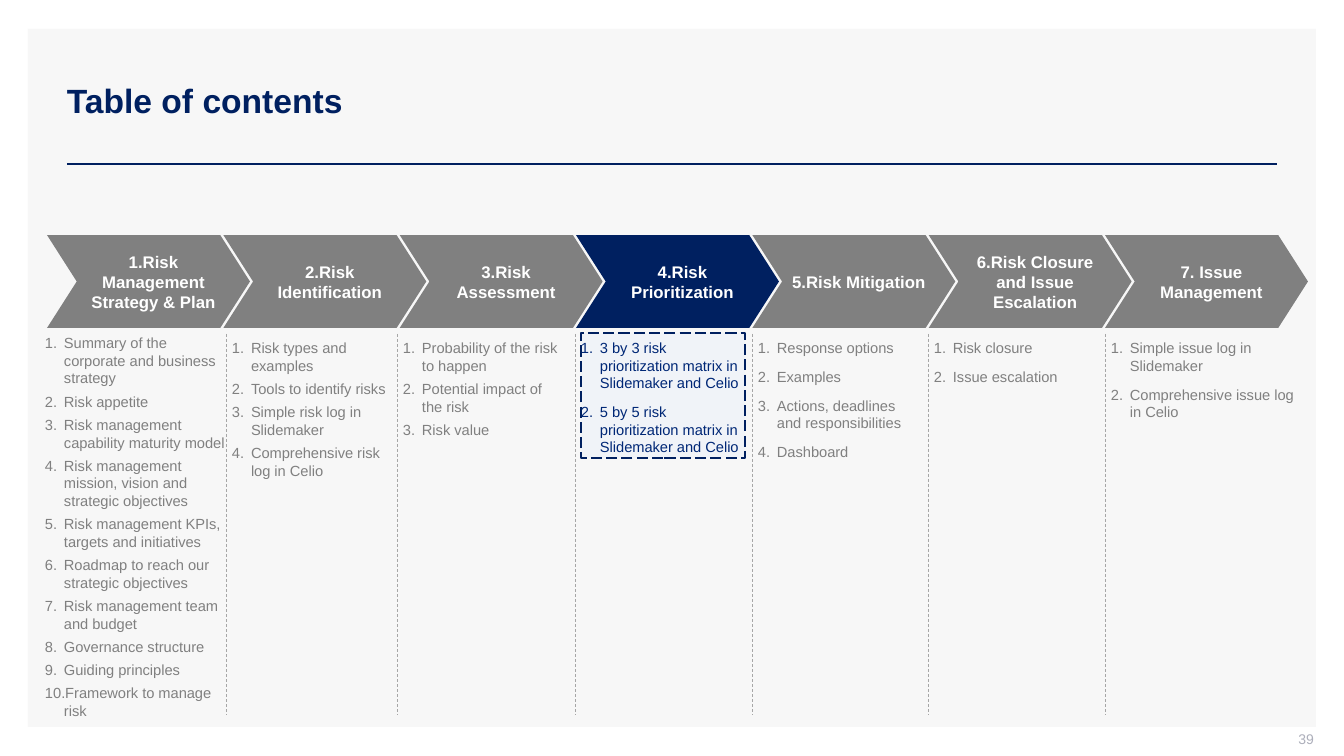
import pptx
import pptx.util
import pptx.dml.color
import pptx.enum.dml
import pptx.enum.shapes
import pptx.enum.text
import pptx.oxml.ns
from dataclasses import dataclass
from lxml import etree

TITLE = "Table of contents"
PAGE_NUMBER = "39"
ACTIVE_STAGE = 3
# heading, left edge of the list, list width, space around items (pt), items
STAGES = [
    ("1.Risk Management Strategy & Plan", 45, 192, 2, [
        "Summary of the corporate and business strategy",
        "Risk appetite",
        "Risk management capability maturity model",
        "Risk management mission, vision and strategic objectives",
        "Risk management KPIs, targets and initiatives",
        "Roadmap to reach our strategic objectives",
        "Risk management team and budget",
        "Governance structure",
        "Guiding principles",
        "Framework to manage risk"]),
    ("2.Risk Identification", 232, 171, 2, [
        "Risk types and examples",
        "Tools to identify risks",
        "Simple risk log in Slidemaker",
        "Comprehensive risk log in Celio"]),
    ("3.Risk Assessment", 403, 172, 2, [
        "Probability of the risk to happen",
        "Potential impact of the risk",
        "Risk value"]),
    ("4.Risk Prioritization", 581, 177, 4, [
        "3 by 3 risk prioritization matrix in Slidemaker and Celio",
        "5 by 5 risk prioritization matrix in Slidemaker and Celio"]),
    ("5.Risk Mitigation", 758, 169, 4, [
        "Response options",
        "Examples",
        "Actions, deadlines and responsibilities",
        "Dashboard"]),
    ("6.Risk Closure and Issue Escalation", 934, 194, 4, [
        "Risk closure",
        "Issue escalation"]),
    ("7. Issue Management", 1111, 194, 4, [
        "Simple issue log in Slidemaker",
        "Comprehensive issue log in Celio"]),
]


@dataclass(frozen=True)
class Theme:
    font: str = "Arial"
    navy: str = "002060"
    active_text: str = "002776"
    grey: str = "808080"
    divider: str = "A6A6A6"
    panel: str = "F7F7F7"
    highlight: str = "D6E3FF"
    number: str = "ADAFBB"
    white: str = "FFFFFF"
    title_size: float = 24
    heading_size: float = 12
    item_size: float = 10.5
    number_size: float = 10


THEME = Theme()
PX_PER_INCH = 100.8
CHEVRON_LEFT, CHEVRON_TOP, CHEVRON_WIDTH, CHEVRON_HEIGHT = 47, 235, 203, 93
LAST_CHEVRON_LEFT = 1105
CHEVRON_PITCH = (LAST_CHEVRON_LEFT - CHEVRON_LEFT) / (len(STAGES) - 1)
LIST_TOP, FIRST_LIST_TOP, LIST_BOTTOM = 334, 329, 715
DIVIDER_GAP = 6
ITEM_INDENT = 19
ALIGN = pptx.enum.text.PP_ALIGN
ANCHOR = pptx.enum.text.MSO_ANCHOR
SHAPE = pptx.enum.shapes.MSO_SHAPE
DASH = pptx.enum.dml.MSO_LINE


def px(length):
    return pptx.util.Emu(round(length * 914400 / PX_PER_INCH))


def rgb(value):
    return pptx.dml.color.RGBColor.from_string(value)


def add_element(parent, tag, **attributes):
    return etree.SubElement(parent, pptx.oxml.ns.qn(tag), **attributes)


def style_line(line, color, width, dash=None):
    line.color.rgb = rgb(color)
    line.width = pptx.util.Pt(width)
    if dash is not None:
        line.dash_style = dash


def add_filled(page, kind, left, top, width, height, color):
    shape = page.shapes.add_shape(kind, px(left), px(top), px(width), px(height))
    shape.shadow.inherit = False
    shape.fill.solid()
    shape.fill.fore_color.rgb = rgb(color)
    shape.line.fill.background()
    return shape


def add_rule(page, x1, y1, x2, y2, color, width, dash=None):
    rule = page.shapes.add_connector(
        pptx.enum.shapes.MSO_CONNECTOR.STRAIGHT, px(x1), px(y1), px(x2), px(y2))
    style_line(rule.line, color, width, dash)
    add_element(rule._element.spPr, "a:effectLst")


def set_frame(shape, margins, anchor):
    """Apply left, top, right and bottom margins, wrapping and anchor."""
    frame = shape.text_frame
    frame.word_wrap = True
    frame.vertical_anchor = anchor
    frame.margin_left, frame.margin_top, frame.margin_right, frame.margin_bottom = map(px, margins)
    return frame


def style_text(para, size, color, bold=False, align=ALIGN.LEFT):
    para.alignment = align
    for span in para.runs:
        span.font.name = THEME.font
        span.font.size = pptx.util.Pt(size)
        span.font.bold = bold
        span.font.color.rgb = rgb(color)


def add_label(page, text, left, top, width, height, margins, **style):
    box = page.shapes.add_textbox(px(left), px(top), px(width), px(height))
    frame = set_frame(box, margins, ANCHOR.MIDDLE)
    frame.text = text
    style_text(frame.paragraphs[0], **style)


def add_chevron(page, index, heading):
    color = THEME.navy if index == ACTIVE_STAGE else THEME.grey
    chevron = add_filled(page, SHAPE.CHEVRON, CHEVRON_LEFT + index * CHEVRON_PITCH,
                         CHEVRON_TOP, CHEVRON_WIDTH, CHEVRON_HEIGHT, color)
    chevron.adjustments[0] = 0.32
    frame = set_frame(chevron, (10, 5, 0, 5), ANCHOR.MIDDLE)
    frame.text = heading
    style_text(frame.paragraphs[0], THEME.heading_size, THEME.white, True, ALIGN.CENTER)


def add_numbered_list(page, index, left, width, gap, items):
    top = LIST_TOP if index else FIRST_LIST_TOP
    color = THEME.active_text if index == ACTIVE_STAGE else THEME.grey
    box = page.shapes.add_textbox(px(left), px(top), px(width), px(LIST_BOTTOM - top))
    frame = set_frame(box, (0, 5, 10, 5), ANCHOR.TOP)
    frame.text = "\n".join(items)
    for position, para in enumerate(frame.paragraphs):
        properties = para._p.get_or_add_pPr()
        properties.set("marL", str(px(ITEM_INDENT)))
        properties.set("indent", str(-px(ITEM_INDENT)))
        add_element(properties, "a:buFont", typeface=THEME.font)
        add_element(properties, "a:buAutoNum", type="arabicPeriod")
        para.space_before = pptx.util.Pt(gap if position else 0)
        para.space_after = pptx.util.Pt(gap)
        style_text(para, THEME.item_size, color)


def main():
    deck = pptx.Presentation()
    deck.slide_width, deck.slide_height = px(1344), px(756)
    page = deck.slides.add_slide(deck.slide_layouts[6])

    add_filled(page, SHAPE.RECTANGLE, 28, 29, 1288, 698, THEME.panel)
    add_rule(page, 67, 164, 1277, 164, THEME.navy, 2)
    add_label(page, TITLE, 57, 40, 1220, 121, (10, 5, 10, 5),
              size=THEME.title_size, color=THEME.navy, bold=True)
    add_label(page, PAGE_NUMBER, 1012, 731, 302, 21, (10, 0, 0, 5),
              size=THEME.number_size, color=THEME.number, align=ALIGN.RIGHT)

    highlight = add_filled(page, SHAPE.RECTANGLE, STAGES[ACTIVE_STAGE][1], 333, 164, 125,
                           THEME.highlight)
    fill_color = highlight._element.spPr.find(".//" + pptx.oxml.ns.qn("a:srgbClr"))
    add_element(fill_color, "a:alpha", val="20000")
    style_line(highlight.line, THEME.navy, 1, DASH.LONG_DASH)

    for index, (heading, left, width, gap, items) in enumerate(STAGES):
        add_chevron(page, index, heading)
        if index:
            divider = left - DIVIDER_GAP
            add_rule(page, divider, LIST_TOP, divider, LIST_BOTTOM, THEME.divider, 0.5, DASH.DASH)
        add_numbered_list(page, index, left, width, gap, items)

    deck.save("out.pptx")


if __name__ == "__main__":
    main()
